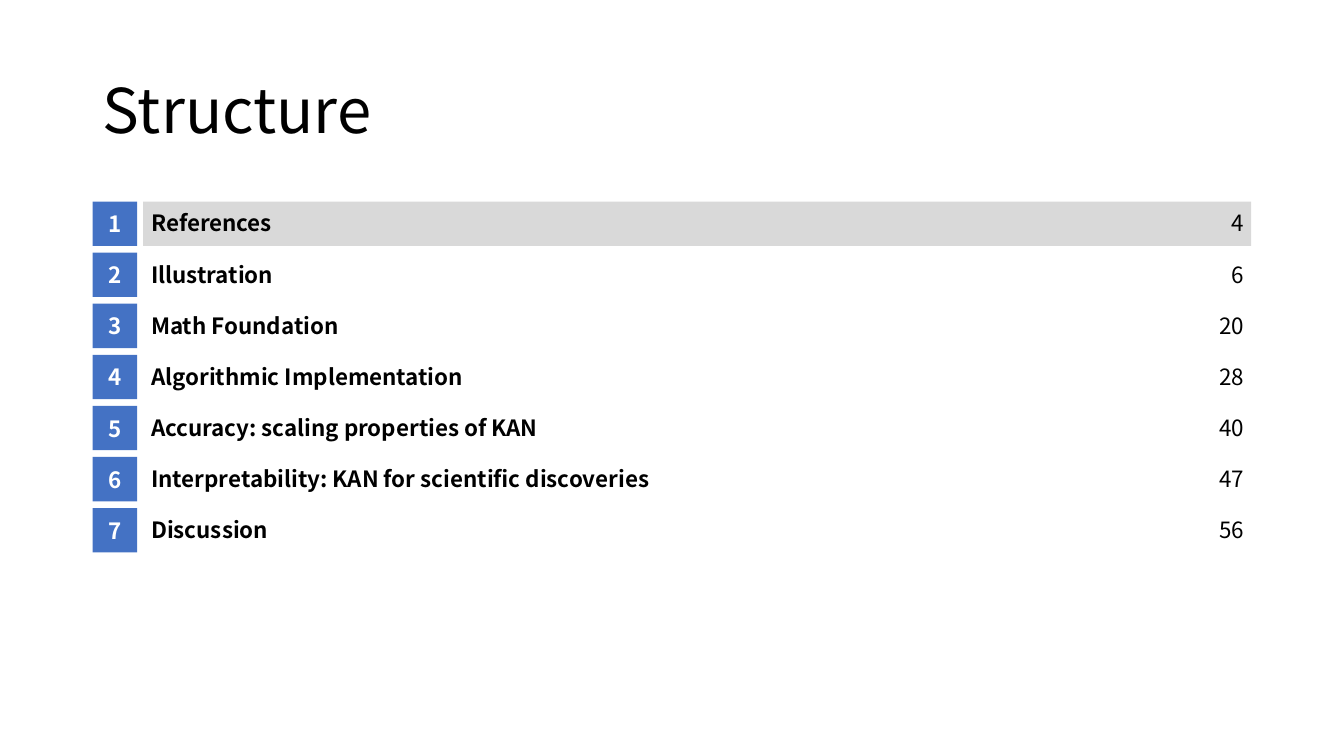
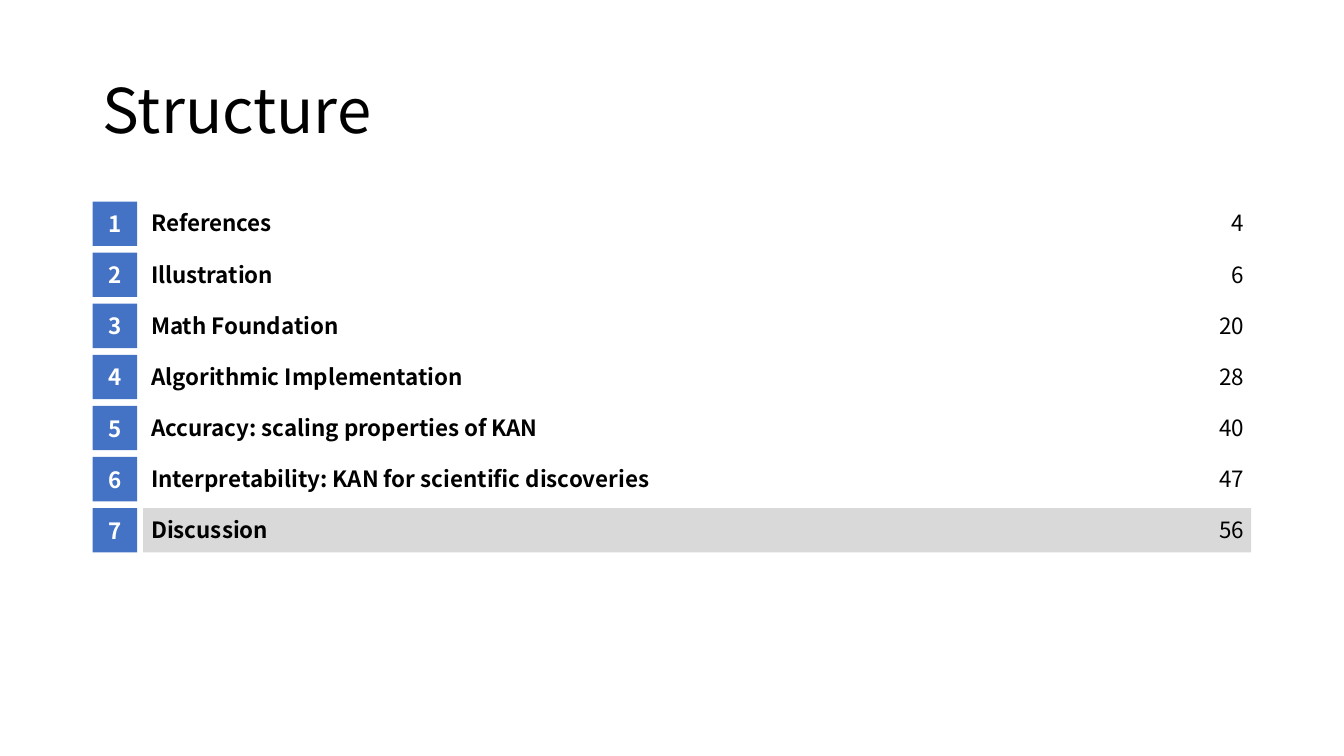
from pptx import Presentation
from pptx.dml.color import RGBColor
from pptx.enum.shapes import MSO_SHAPE
from pptx.enum.text import MSO_ANCHOR, MSO_AUTO_SIZE, PP_ALIGN
from pptx.util import Inches, Pt

# Content
TITLE = "Structure"
ITEMS = [
    ("References", 4),
    ("Illustration", 6),
    ("Math Foundation", 20),
    ("Algorithmic Implementation", 28),
    ("Accuracy: scaling properties of KAN", 40),
    ("Interpretability: KAN for scientific discoveries", 47),
    ("Discussion", 56),
]
ACTIVE = ["References", "Discussion"]  # highlighted row of each slide

# Shared style
FONT = "Noto Sans CJK SC"
BLACK = RGBColor(0x00, 0x00, 0x00)
WHITE = RGBColor(0xFF, 0xFF, 0xFF)
BLUE = RGBColor(0x44, 0x72, 0xC4)
GRAY = RGBColor(0xD9, 0xD9, 0xD9)

# Row grid
FIRST, LAST = Inches(2), Inches(5.04)
STEP = (LAST - FIRST) / (len(ITEMS) - 1)
SIDE = Inches(0.44)
PAD = Inches(0.08)
NUM_X, ROW_X, PAGE_X = Inches(0.92), Inches(1.42), Inches(12.22)
ROW_W, NAME_W, PAGE_W = Inches(10.99), Inches(4.66), Inches(0.12)


def write(shape, text, size=16, bold=False, color=BLACK, align=PP_ALIGN.LEFT,
          anchor=MSO_ANCHOR.TOP, pads=None, wrap=False, spacing=None):
    frame = shape.text_frame
    frame.auto_size = MSO_AUTO_SIZE.NONE
    frame.word_wrap = wrap
    frame.vertical_anchor = anchor
    if pads:
        frame.margin_left, frame.margin_right = pads
        frame.margin_top = frame.margin_bottom = PAD
    para = frame.paragraphs[0]
    para.alignment = align
    para.line_spacing = spacing
    run = para.add_run()
    run.text = text
    font = run.font
    font.name, font.size, font.bold = FONT, Pt(size), bold
    font.color.rgb = color


def add_rect(slide, left, top, width, fill):
    rect = slide.shapes.add_shape(MSO_SHAPE.RECTANGLE, left, top, width, SIDE)
    rect.shadow.inherit = False
    rect.fill.solid()
    rect.fill.fore_color.rgb = fill
    rect.line.fill.background()
    return rect


def add_row(slide, index, name, page, active):
    top = round(FIRST + index * STEP)
    if active:
        add_rect(slide, ROW_X, top, ROW_W, GRAY)
    box = slide.shapes.add_textbox
    write(box(PAGE_X, top, PAGE_W, SIDE), str(page),
          align=PP_ALIGN.RIGHT, pads=(0, 0))
    write(box(ROW_X, top, NAME_W, SIDE), name, bold=True, pads=(PAD, 0))
    write(add_rect(slide, NUM_X, top, SIDE, BLUE), str(index + 1), bold=True,
          color=WHITE, align=PP_ALIGN.CENTER, anchor=MSO_ANCHOR.MIDDLE,
          pads=(PAD, PAD))


def add_agenda(deck, current):
    slide = deck.slides.add_slide(deck.slide_layouts.get_by_name("Title Only"))
    title = slide.shapes.title
    title.left, title.top = Inches(0.92), Inches(0.4)
    title.width, title.height = Inches(11.5), Inches(1.45)
    write(title, TITLE, size=44, anchor=MSO_ANCHOR.MIDDLE, wrap=True,
          spacing=0.9)
    for index, (name, page) in enumerate(ITEMS):
        add_row(slide, index, name, page, name == current)


def main():
    deck = Presentation()
    deck.slide_width, deck.slide_height = Inches(13.33), Inches(7.5)
    for current in ACTIVE:
        add_agenda(deck, current)
    deck.save("out.pptx")


if __name__ == "__main__":
    main()
